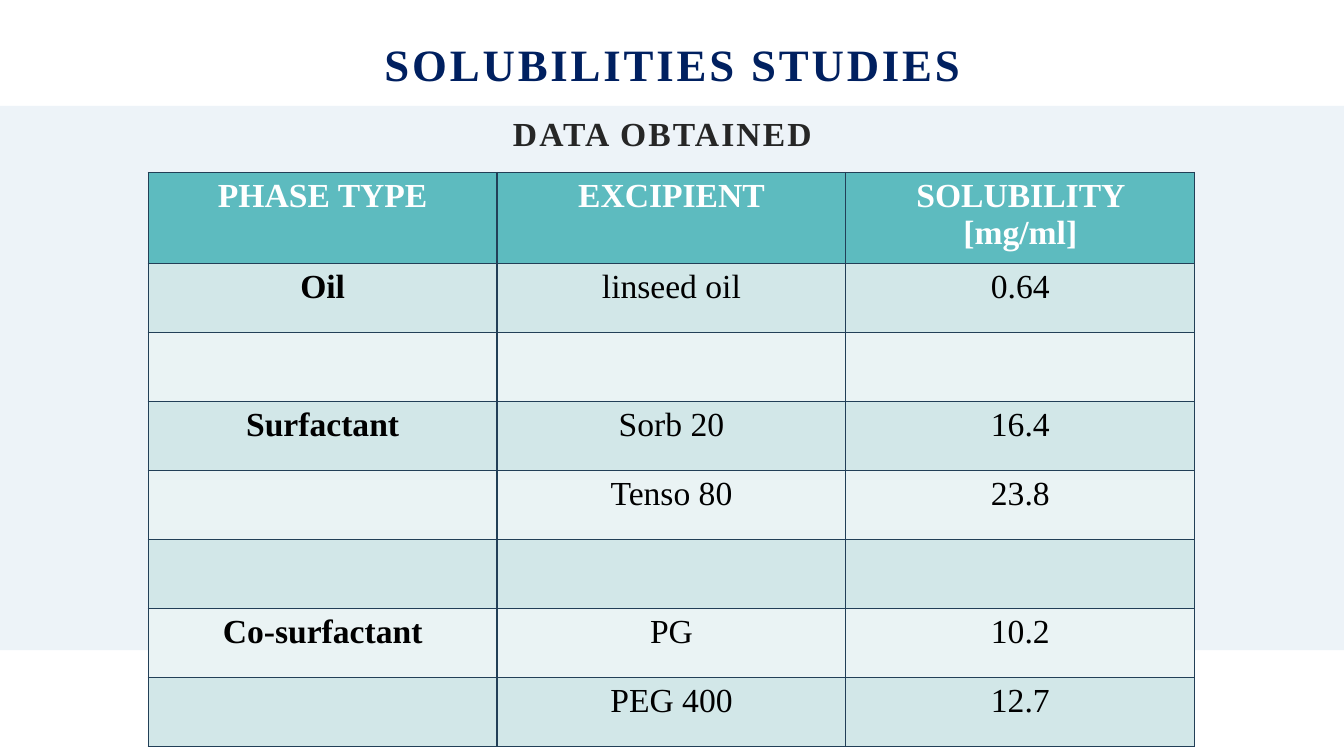
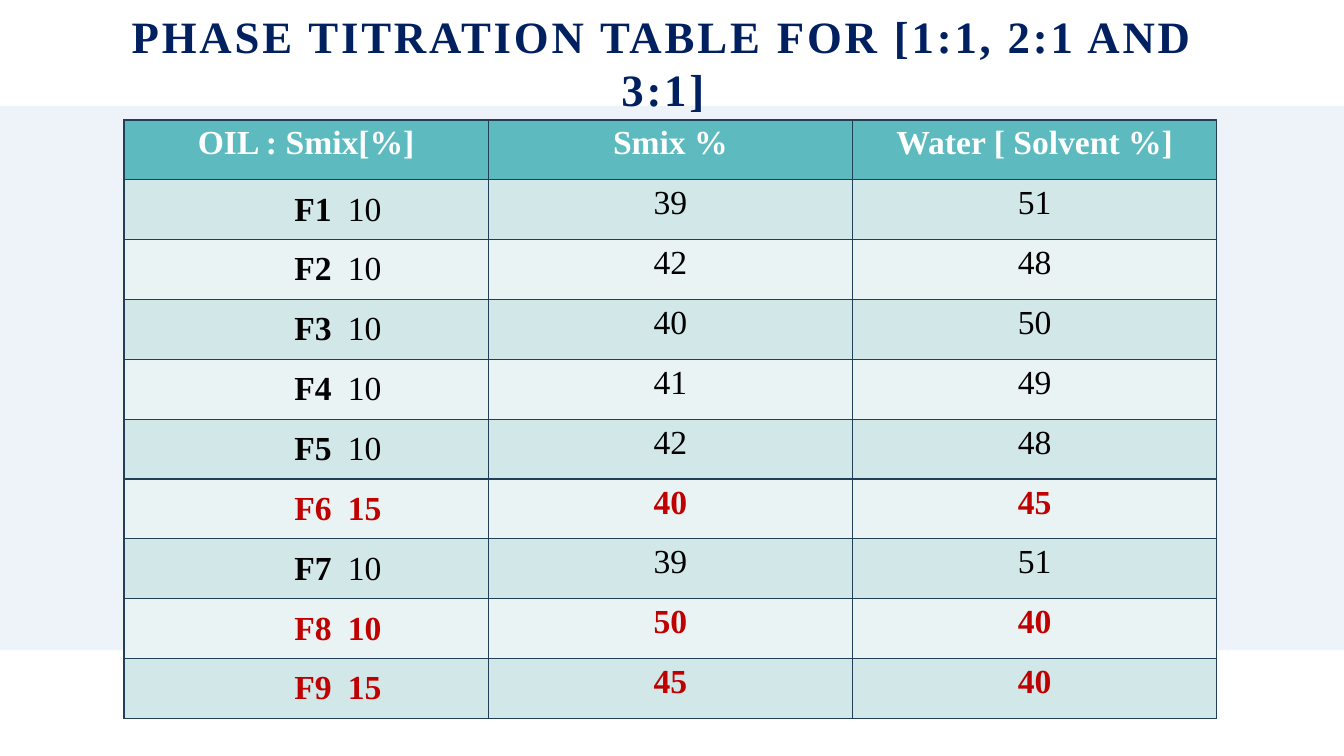
"""Build two slides with tables of solubility and phase titration data."""
from lxml import etree
from pptx import Presentation
from pptx.dml.color import RGBColor
from pptx.enum.shapes import MSO_SHAPE
from pptx.enum.text import MSO_ANCHOR, PP_ALIGN
from pptx.oxml.ns import qn
from pptx.util import Inches, Pt

RECTANGLE = MSO_SHAPE.RECTANGLE
TOP, MIDDLE, BOTTOM = MSO_ANCHOR.TOP, MSO_ANCHOR.MIDDLE, MSO_ANCHOR.BOTTOM
LEFT, CENTER = PP_ALIGN.LEFT, PP_ALIGN.CENTER

FONT = "Times New Roman"
COLORS = {
    "band": "EDF3F8", "title": "002060", "subtitle": "262626",
    "header": "5DBBBF", "odd": "D2E7E8", "even": "EAF3F4",
    "border": "223F57", "white": "FFFFFF", "black": "000000", "red": "C00000",
}
LABEL_INDENT, LABEL_TAB = Inches(1.69), Inches(0.53)

SOLUBILITY = {
    "title": "SOLUBILITIES STUDIES",
    "title_box": (1.67, 0.28, 10, 0.67),
    "table_box": (1.47, 1.71, 10.38, 5.48),
    "header": ["PHASE TYPE", "EXCIPIENT", "SOLUBILITY [mg/ml]"],
    "rows": [
        ("Oil", "linseed oil", "0.64"),
        ("", "", ""),
        ("Surfactant", "Sorb 20", "16.4"),
        ("", "Tenso 80", "23.8"),
        ("", "", ""),
        ("Co-surfactant", "PG", "10.2"),
        ("", "PEG 400", "12.7"),
    ],
}
SUBTITLE, SUBTITLE_BOX = "DATA OBTAINED", (1.57, 0.95, 10, 0.98)

TITRATION = {
    "title": "PHASE TITRATION TABLE FOR [1:1, 2:1 AND 3:1]",
    "title_box": (1.08, 0.3, 10.99, 0.9),
    "table_box": (1.23, 1.19, 10.84, 5.94),
    "header": ["OIL : Smix[%]", "Smix %", "Water [ Solvent %]"],
    "rows": [
        ("F1", "10", "39", "51"),
        ("F2", "10", "42", "48"),
        ("F3", "10", "40", "50"),
        ("F4", "10", "41", "49"),
        ("F5", "10", "42", "48"),
        ("F6", "15", "40", "45"),
        ("F7", "10", "39", "51"),
        ("F8", "10", "50", "40"),
        ("F9", "15", "45", "40"),
    ],
}
HIGHLIGHTED = {"F6", "F8", "F9"}


def rgb(name):
    return RGBColor.from_string(COLORS[name])


def add_run(paragraph, text, size, color, bold, spacing=None):
    run = paragraph.add_run()
    run.text = text
    run.font.name = FONT
    run.font.size = Pt(size)
    run.font.bold = bold
    run.font.color.rgb = rgb(color)
    if spacing:
        run.font._element.set("spc", str(int(spacing * 100)))


def add_heading(slide, text, box, size, color, spacing, anchor):
    frame = slide.shapes.add_textbox(*map(Inches, box)).text_frame
    frame.word_wrap = True
    frame.vertical_anchor = anchor
    paragraph = frame.paragraphs[0]
    paragraph.alignment = CENTER
    add_run(paragraph, text, size, color, True, spacing)
    return paragraph


def add_borders(cell):
    properties = cell._tc.get_or_add_tcPr()
    for position, side in enumerate(("a:lnL", "a:lnR", "a:lnT", "a:lnB")):
        line = etree.Element(qn(side), w=str(Pt(1)))
        fill = etree.SubElement(line, qn("a:solidFill"))
        etree.SubElement(fill, qn("a:srgbClr"), val=COLORS["border"])
        properties.insert(position, line)


def write_cell(cell, runs, color, alignment=CENTER):
    paragraph = cell.text_frame.paragraphs[0]
    paragraph.alignment = alignment
    for text, bold in runs:
        if text:
            add_run(paragraph, text, 24, color, bold)
    return paragraph


def write_label(cell, label, oil, color, highlighted):
    cell.vertical_anchor = MIDDLE
    cell.margin_left = LABEL_INDENT
    runs = [(label + "\t", True), (oil, highlighted)]
    paragraph = write_cell(cell, runs, color, LEFT)
    tabs = etree.SubElement(paragraph._p.get_or_add_pPr(), qn("a:tabLst"))
    etree.SubElement(tabs, qn("a:tab"), pos=str(LABEL_TAB), algn="l")


def add_grid(slide, content):
    header = content["header"]
    row_count = len(content["rows"]) + 1
    left, top, width, height = map(Inches, content["table_box"])
    table = slide.shapes.add_table(
        row_count, len(header), left, top, width, height).table
    for column in table.columns:
        column.width = width // len(header)
    for index, row in enumerate(table.rows):
        row.height = height // row_count
        shade = "header" if index == 0 else "odd" if index % 2 else "even"
        for cell in row.cells:
            cell.vertical_anchor = TOP
            cell.fill.solid()
            cell.fill.fore_color.rgb = rgb(shade)
            add_borders(cell)
    for column, text in enumerate(header):
        write_cell(table.cell(0, column), [(text, True)], "white")
    return table


def add_base(presentation, content):
    slide = presentation.slides.add_slide(presentation.slide_layouts[6])
    band = slide.shapes.add_shape(
        RECTANGLE, 0, Inches(1.05), presentation.slide_width, Inches(5.4))
    band.shadow.inherit = False
    band.fill.solid()
    band.fill.fore_color.rgb = rgb("band")
    band.line.fill.background()
    add_heading(slide, content["title"], content["title_box"], 32, "title", 2, BOTTOM)
    return slide


def build_solubility(presentation):
    slide = add_base(presentation, SOLUBILITY)
    subtitle = add_heading(slide, SUBTITLE, SUBTITLE_BOX, 24, "subtitle", 1.5, TOP)
    subtitle.line_spacing = 1.3
    subtitle.space_after = Pt(10)
    table = add_grid(slide, SOLUBILITY)
    for row, values in enumerate(SOLUBILITY["rows"], 1):
        for column, text in enumerate(values):
            write_cell(table.cell(row, column), [(text, column == 0)], "black")


def build_titration(presentation):
    table = add_grid(add_base(presentation, TITRATION), TITRATION)
    for row, (label, oil, *values) in enumerate(TITRATION["rows"], 1):
        highlighted = label in HIGHLIGHTED
        color = "red" if highlighted else "black"
        write_label(table.cell(row, 0), label, oil, color, highlighted)
        for column, text in enumerate(values, 1):
            write_cell(table.cell(row, column), [(text, highlighted)], color)


def main():
    presentation = Presentation()
    presentation.slide_width = Inches(13.33)
    presentation.slide_height = Inches(7.5)
    build_solubility(presentation)
    build_titration(presentation)
    presentation.save("out.pptx")


if __name__ == "__main__":
    main()
